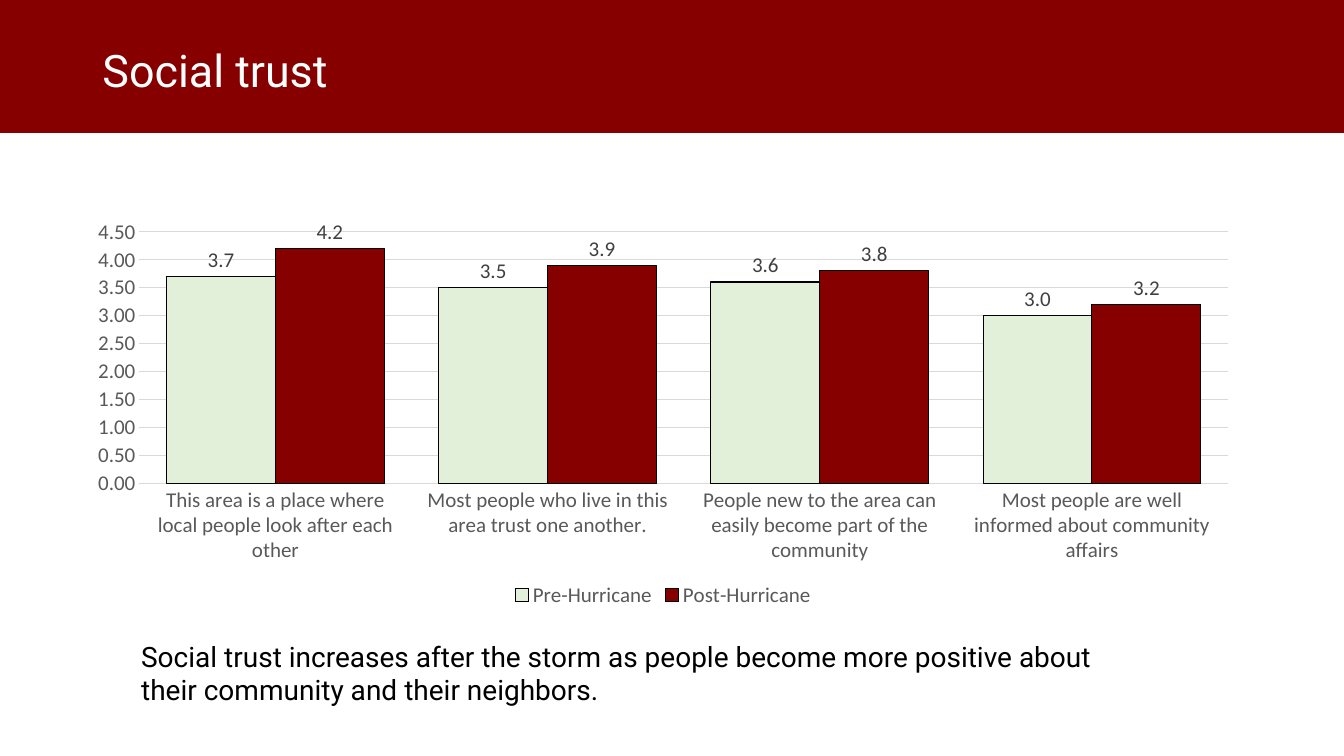
"""Build a slide that compares social trust before and after the hurricane."""
from pptx import Presentation
from pptx.chart.data import CategoryChartData
from pptx.dml.color import RGBColor
from pptx.enum.chart import XL_CHART_TYPE as ChartType
from pptx.enum.chart import XL_LABEL_POSITION as LabelPosition
from pptx.enum.chart import XL_LEGEND_POSITION as LegendPosition
from pptx.enum.chart import XL_TICK_MARK as TickMark
from pptx.enum.shapes import MSO_SHAPE as ShapeType
from pptx.enum.text import MSO_ANCHOR as Anchor
from pptx.enum.text import MSO_AUTO_SIZE as AutoSize
from pptx.enum.text import PP_ALIGN as Align
from pptx.util import Pt

PX = 9525
MAROON = RGBColor(0x86, 0x00, 0x00)
PALE_GREEN = RGBColor(0xE2, 0xF0, 0xD9)
BLACK = RGBColor(0x00, 0x00, 0x00)
WHITE = RGBColor(0xFF, 0xFF, 0xFF)
LABEL_GRAY = RGBColor(0x40, 0x40, 0x40)
AXIS_GRAY = RGBColor(0x59, 0x59, 0x59)
GRID_GRAY = RGBColor(0xD9, 0xD9, 0xD9)


def box(left, top, width, height):
    return left * PX, top * PX, width * PX, height * PX


def style_font(font, name, size, color):
    font.name = name
    font.size = Pt(size)
    font.color.rgb = color


presentation = Presentation()
presentation.slide_width = 1280 * PX
presentation.slide_height = 720 * PX
slide = presentation.slides.add_slide(presentation.slide_layouts[5])

takeaway = slide.shapes.add_textbox(*box(125, 604, 972, 74))
takeaway.text_frame.word_wrap = True
paragraph = takeaway.text_frame.paragraphs[0]
paragraph.text = (
    "Social trust increases after the storm as people become more positive "
    "about their community and their neighbors."
)
style_font(paragraph.font, "Roboto", 20, BLACK)

data = CategoryChartData()
data.categories = [
    "This area is a place where local people look after each other",
    "Most people who live in this area trust one another.",
    "People new to the area can easily become part of the community",
    "Most people are well informed about community affairs",
]
data.add_series("Pre-Hurricane", [3.7, 3.5, 3.6, 3.0])
data.add_series("Post-Hurricane", [4.2, 3.9, 3.8, 3.2])
chart = slide.shapes.add_chart(
    ChartType.COLUMN_CLUSTERED, *box(71, 201, 1121, 382), data
).chart
chart.has_title = False
style_font(chart.font, "Calibri", 15, BLACK)

chart.has_legend = True
chart.legend.position = LegendPosition.BOTTOM
chart.legend.include_in_layout = False
style_font(chart.legend.font, "Calibri", 15, AXIS_GRAY)

value_axis = chart.value_axis
value_axis.minimum_scale = 0
value_axis.maximum_scale = 4.5
value_axis.major_unit = 0.5
value_axis.tick_labels.number_format = "0.00"
value_axis.tick_labels.number_format_is_linked = False
value_axis.format.line.fill.background()
for axis in (chart.category_axis, value_axis):
    axis.major_tick_mark = axis.minor_tick_mark = TickMark.NONE
    style_font(axis.tick_labels.font, "Calibri", 15, AXIS_GRAY)
for line in (chart.category_axis.format.line, value_axis.major_gridlines.format.line):
    line.color.rgb = GRID_GRAY
    line.width = Pt(0.75)

plot = chart.plots[0]
plot.gap_width = 50
plot.overlap = 0
plot.vary_by_categories = False
for series, color in zip(plot.series, (PALE_GREEN, MAROON)):
    series.invert_if_negative = False
    series.format.fill.solid()
    series.format.fill.fore_color.rgb = color
    series.format.line.color.rgb = BLACK
    series.format.line.width = Pt(0.75)
    labels = series.data_labels
    labels.show_value = True
    labels.position = LabelPosition.OUTSIDE_END
    labels.number_format = "#,##0.0"
    labels.number_format_is_linked = False
    style_font(labels.font, "Calibri", 15, LABEL_GRAY)

banner = slide.shapes.add_shape(ShapeType.RECTANGLE, *box(0, 0, 1280, 126))
banner.shadow.inherit = False
banner.fill.solid()
banner.fill.fore_color.rgb = MAROON
banner.line.color.rgb = MAROON
banner.line.width = Pt(1)

title = slide.shapes.title
title.left, title.top, title.width, title.height = box(88, 0, 1104, 139)
title.text_frame.auto_size = AutoSize.NONE
title.text_frame.vertical_anchor = Anchor.MIDDLE
paragraph = title.text_frame.paragraphs[0]
paragraph.text = "Social trust"
paragraph.alignment = Align.LEFT
paragraph.line_spacing = 0.9
style_font(paragraph.font, "Roboto", 32, WHITE)
banner.element.addnext(title.element)

presentation.save("out.pptx")
